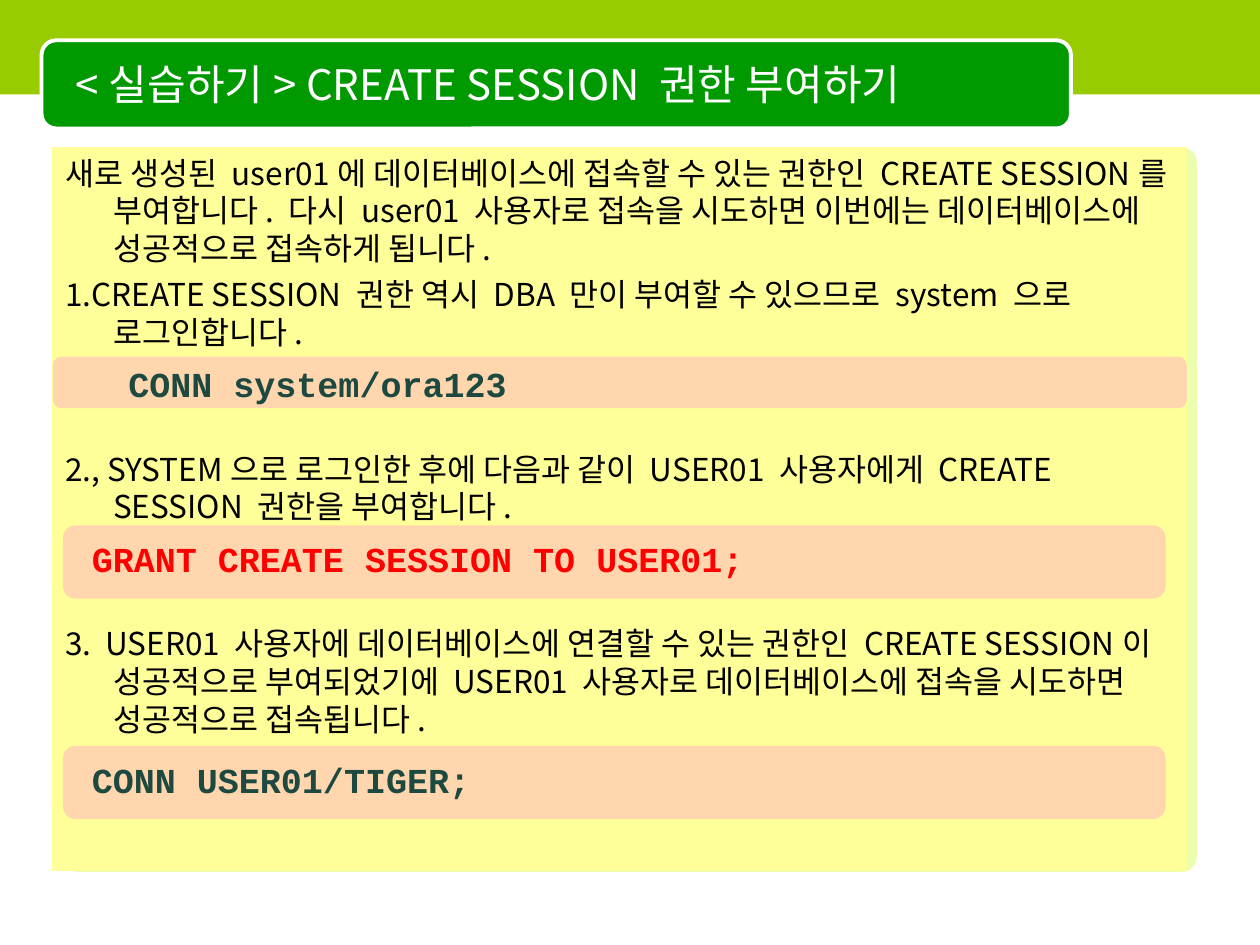
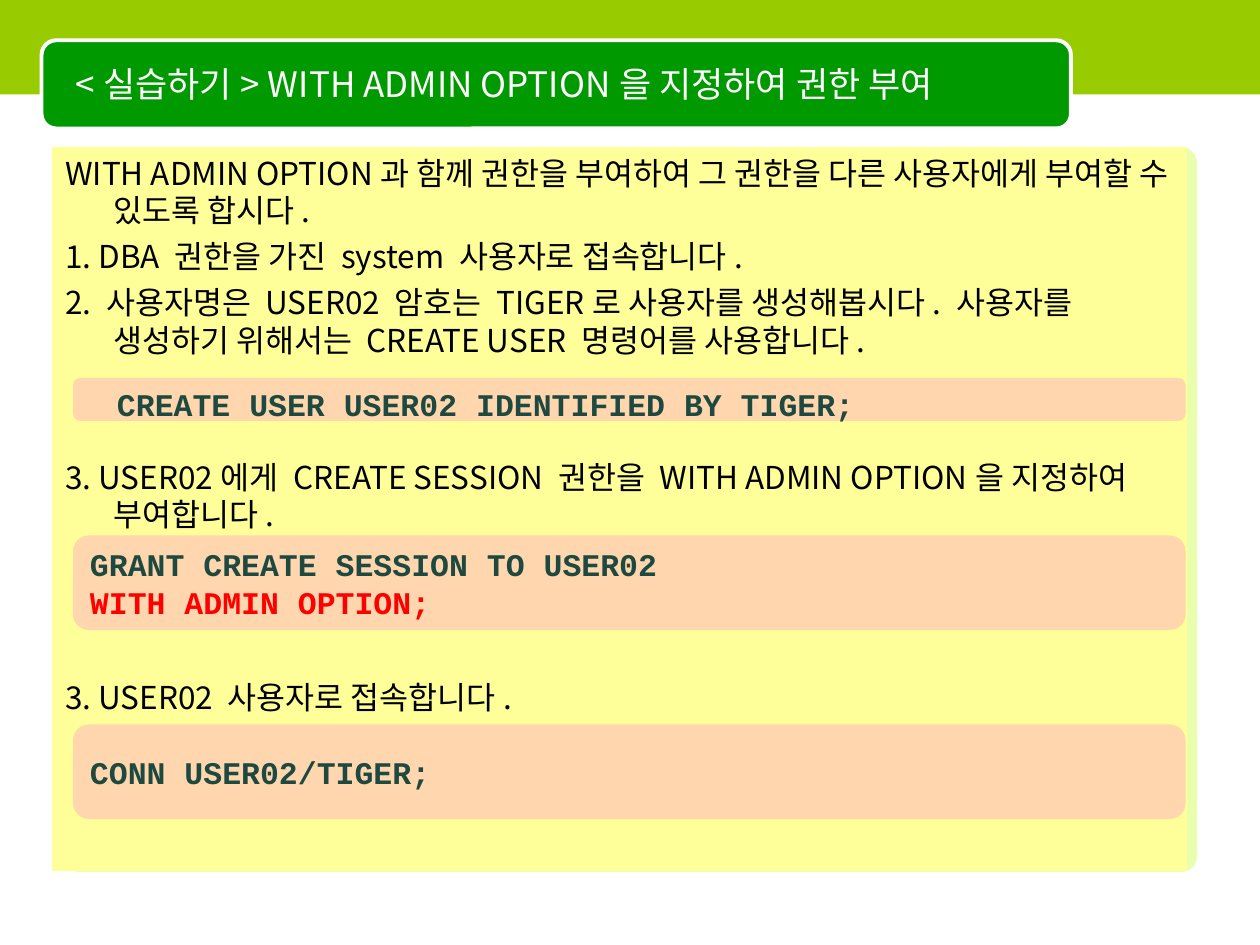
from lxml import etree
from pptx import Presentation
from pptx.dml.color import RGBColor
from pptx.enum.shapes import MSO_SHAPE
from pptx.enum.text import MSO_ANCHOR, PP_ALIGN
from pptx.oxml.ns import qn
from pptx.util import Inches, Pt

SANS, MONO = "Noto Sans CJK KR", "Courier New"
BLACK, WHITE, TEAL, RED = "000000", "FFFFFF", "1D4940", "FF0000"
LIME, GREEN, SHADE, CREAM, PINK = "99CC00", "009900", "CCFF33", "FFFF99", "FF99CC"
LINE_STEP = 26.1  # one body line with its gap, in points
PARA_GAP = 4.5


def rgb(value):
    return RGBColor.from_string(value)


def add_box(s, kind, box, fill, line=None, width=0.75, alpha=None, corner=None):
    sp = s.shapes.add_shape(kind, *map(Inches, box))
    sp.shadow.inherit = False
    sp.fill.solid()
    sp.fill.fore_color.rgb = rgb(fill)
    if alpha:
        color = sp.fill._xPr.find(".//" + qn("a:srgbClr"))
        etree.SubElement(color, qn("a:alpha"), val=str(alpha * 1000))
    if line:
        sp.line.color.rgb = rgb(line)
        sp.line.width = Pt(width)
    else:
        sp.line.fill.background()
    if corner:
        sp.adjustments[0] = corner
    return sp


def add_text_box(s, box):
    return s.shapes.add_textbox(*map(Inches, box))


def write(sp, lines, size, font, anchor=MSO_ANCHOR.TOP):
    """Fill a shape with (text, colour) lines and return its paragraphs."""
    tf = sp.text_frame
    tf.word_wrap = True
    tf.vertical_anchor = anchor
    tf.text = "\n".join(text for text, _ in lines)
    for p, (_, color) in zip(tf.paragraphs, lines):
        p.alignment = PP_ALIGN.LEFT
        p.font.size = Pt(size)
        p.font.name = font
        p.font.bold = font == MONO
        p.font.color.rgb = rgb(color)
        for r in p.runs:
            r.font.name = font
            etree.SubElement(r.font._element, qn("a:ea"), typeface=font)
    return tf.paragraphs


def add_frame(s, title, size):
    # Panel shade, top band and title plate
    add_box(s, MSO_SHAPE.ROUNDED_RECTANGLE, (0.5, 1.17, 9, 5.75), SHADE, alpha=40, corner=0.021)
    add_box(s, MSO_SHAPE.RECTANGLE, (0, 0, 10.01, 0.75), LIME)
    add_box(s, MSO_SHAPE.ROUNDED_RECTANGLE, (0.33, 0.32, 8.17, 0.7), GREEN, WHITE, 2.25)
    write(add_text_box(s, (0.5, 0.35, 7.92, 0.62)), [(title, WHITE)], size, SANS, MSO_ANCHOR.MIDDLE)


def add_steps(s, steps):
    """Each step is (lines left free above it for code, text)."""
    panel = add_box(s, MSO_SHAPE.RECTANGLE, (0.42, 1.17, 9, 5.74), CREAM, CREAM)
    paragraphs = write(panel, [(text, BLACK) for _, text in steps], 18, SANS)
    for i, (p, (free, _)) in enumerate(zip(paragraphs, steps)):
        pPr = p._p.get_or_add_pPr()
        pPr.set("marL", str(Inches(0.38)))
        pPr.set("indent", str(Inches(-0.38)))
        if i:
            p.space_before = Pt(PARA_GAP + free * LINE_STEP)


def add_code(s, bar, lines, size, text_box=None):
    """Code bar; the text sits in the bar unless it has its own box."""
    sp = add_box(s, MSO_SHAPE.ROUNDED_RECTANGLE, bar, PINK, alpha=40)
    if text_box:
        write(add_text_box(s, text_box), lines, size, MONO)
    else:
        write(sp, lines, size, MONO, MSO_ANCHOR.MIDDLE)


def session_slide(s):
    add_frame(s, "<실습하기> CREATE SESSION 권한 부여하기", 24)
    add_steps(s, [
        (0, "새로 생성된 user01에 데이터베이스에 접속할 수 있는 권한인 CREATE SESSION를 부여합니다. "
            "다시 user01 사용자로 접속을 시도하면 이번에는 데이터베이스에 성공적으로 접속하게 됩니다."),
        (0, "1.CREATE SESSION 권한 역시 DBA 만이 부여할 수 있으므로 system 으로 로그인합니다."),
        (2, "2., SYSTEM으로 로그인한 후에 다음과 같이 USER01 사용자에게 CREATE SESSION 권한을 부여합니다."),
        (2, "3.  USER01 사용자에 데이터베이스에 연결할 수 있는 권한인 CREATE SESSION이 성공적으로 "
            "부여되었기에 USER01 사용자로 데이터베이스에 접속을 시도하면 성공적으로 접속됩니다."),
    ])
    add_code(s, (0.42, 2.83, 9, 0.41), [("CONN system/ora123", TEAL)], 20, (0.92, 2.83, 8.5, 0.77))
    for top, line in ((4.17, ("GRANT CREATE SESSION TO USER01;", RED)),
                      (5.92, ("CONN USER01/TIGER;", TEAL))):
        add_code(s, (0.5, top, 8.75, 0.58), [line], 20, (0.63, top + 0.05, 8.49, 0.44))


def admin_option_slide(s):
    add_frame(s, "<실습하기> WITH ADMIN OPTION을 지정하여 권한 부여", 20)
    add_steps(s, [
        (0, "WITH ADMIN OPTION과 함께 권한을 부여하여 그 권한을 다른 사용자에게 부여할 수 있도록 합시다."),
        (0, "1. DBA 권한을 가진 system 사용자로 접속합니다."),
        (0, "2. 사용자명은 USER02 암호는 TIGER로 사용자를 생성해봅시다. "
            "사용자를 생성하기 위해서는 CREATE USER 명령어를 사용합니다."),
        (2, "3. USER02에게 CREATE SESSION 권한을 WITH ADMIN OPTION을 지정하여 부여합니다."),
        (3, "3. USER02 사용자로 접속합니다."),
    ])
    add_code(s, (0.58, 3, 8.83, 0.34), [("CREATE USER USER02 IDENTIFIED BY TIGER;", TEAL)], 18,
             (0.83, 3.01, 8.75, 0.4))
    add_code(s, (0.58, 4.25, 8.83, 0.75),
             [("GRANT CREATE SESSION TO USER02", TEAL), ("WITH ADMIN OPTION;", RED)], 18)
    add_code(s, (0.58, 5.75, 8.83, 0.75), [("CONN USER02/TIGER;", TEAL)], 18)


def main():
    prs = Presentation()
    prs.slide_width, prs.slide_height = Inches(10), Inches(7.5)
    for build in (session_slide, admin_option_slide):
        build(prs.slides.add_slide(prs.slide_layouts[6]))
    prs.save("out.pptx")


if __name__ == "__main__":
    main()
